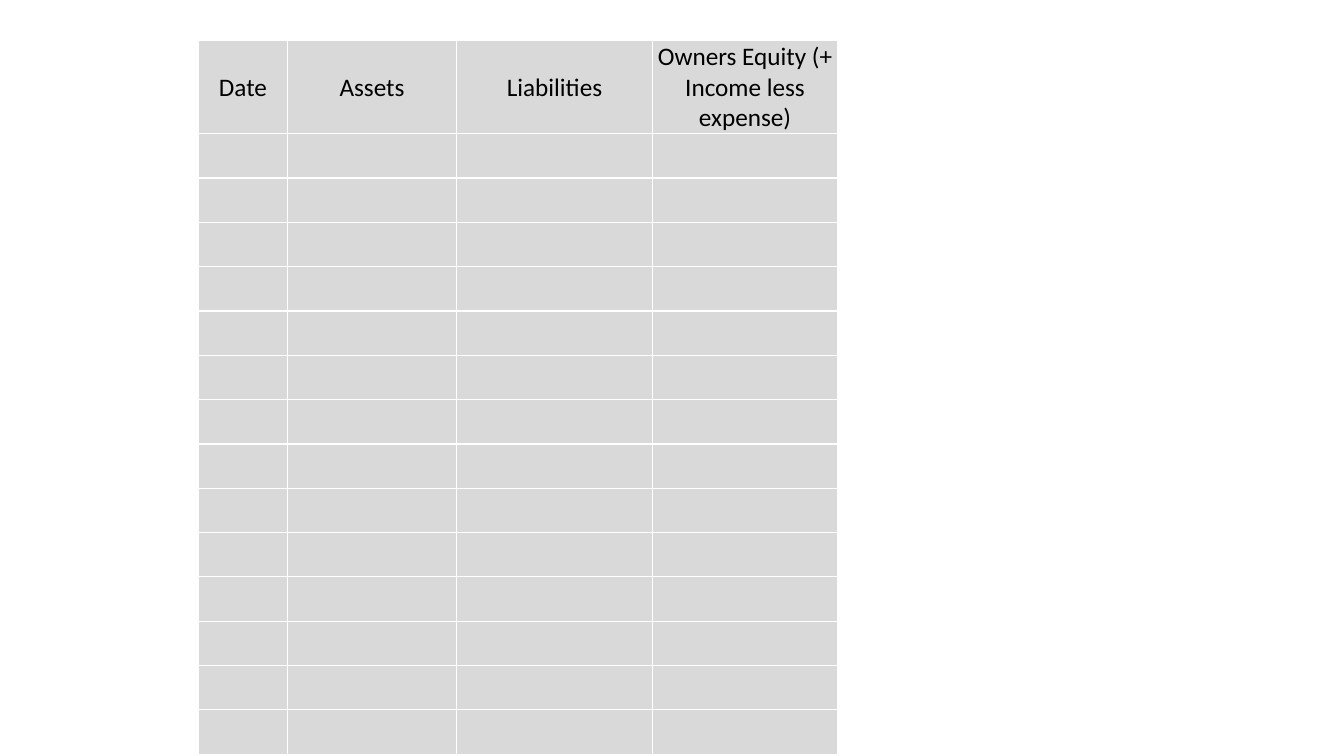
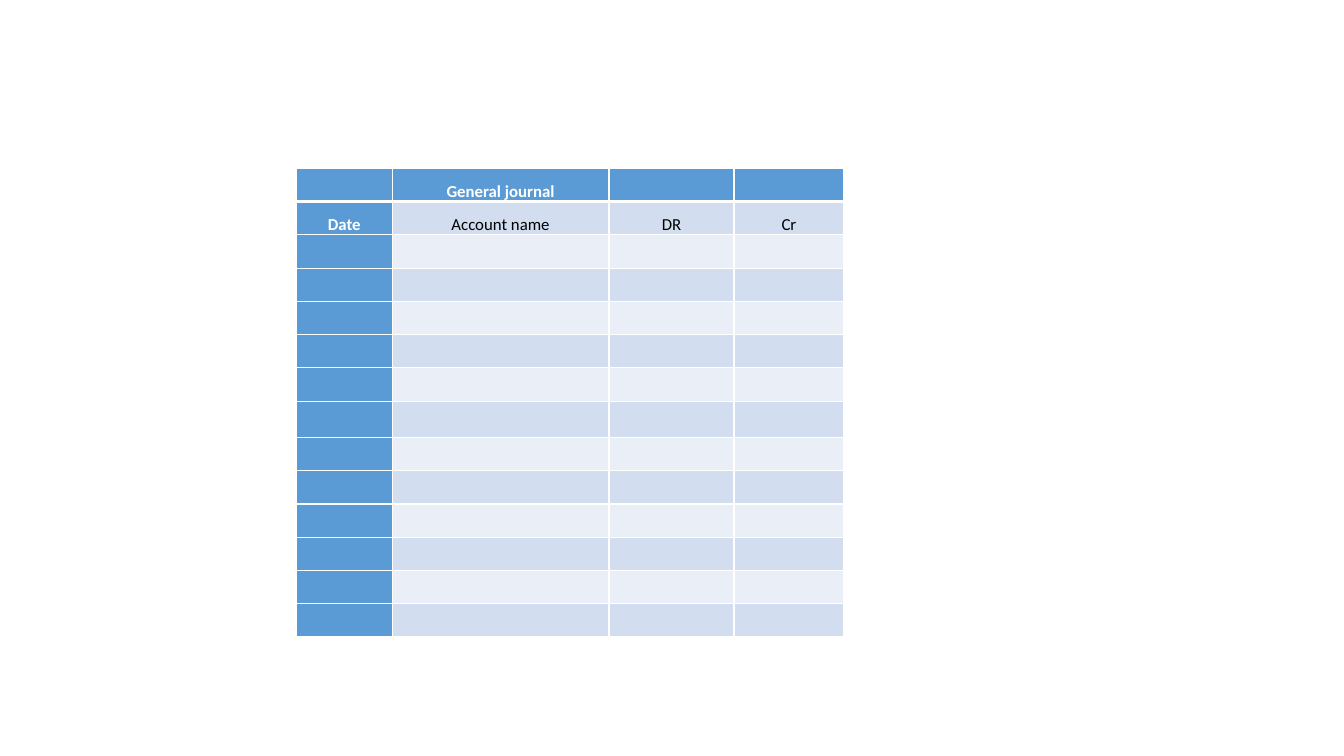
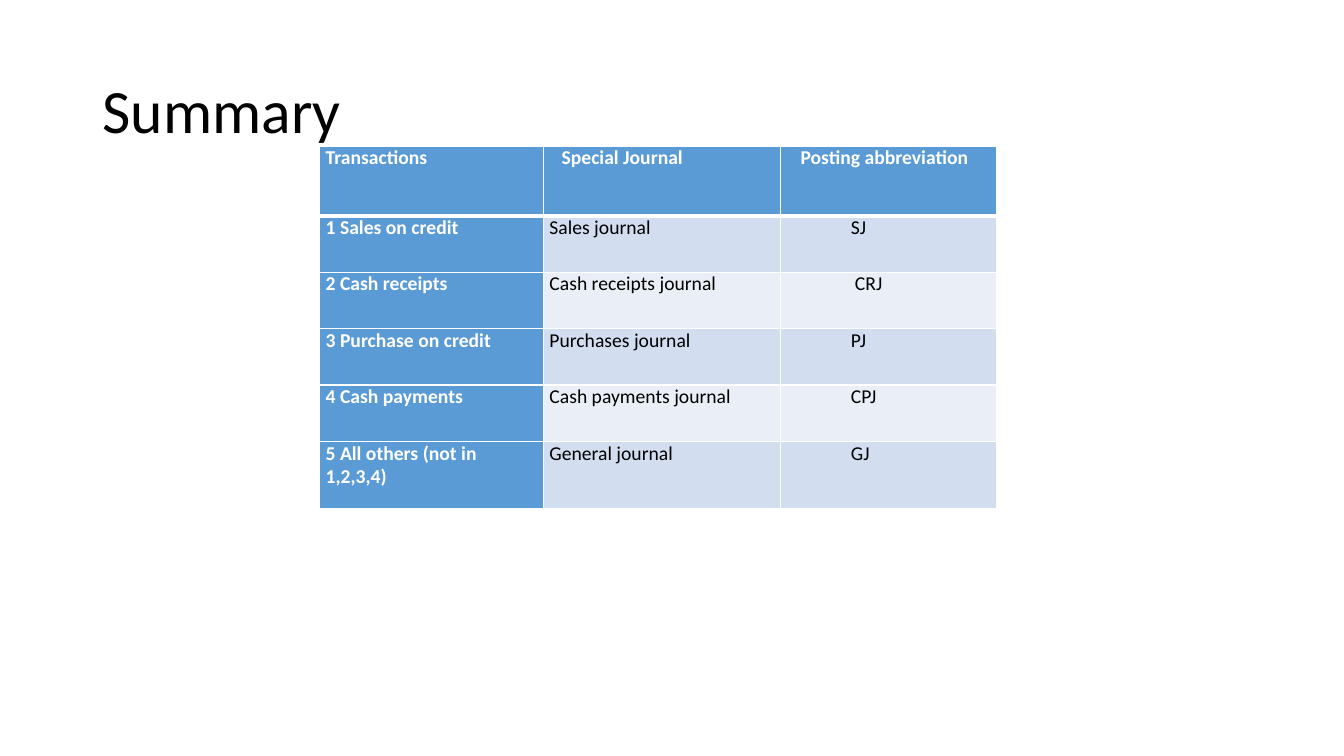
import lxml.etree
import pptx
import pptx.dml.color
import pptx.enum.text
import pptx.oxml.ns
import pptx.util

Inches = pptx.util.Inches
Pt = pptx.util.Pt
RGBColor = pptx.dml.color.RGBColor
ALIGN = pptx.enum.text.PP_ALIGN
ANCHOR = pptx.enum.text.MSO_ANCHOR
qn = pptx.oxml.ns.qn

BLACK = RGBColor(0x00, 0x00, 0x00)
WHITE = RGBColor(0xFF, 0xFF, 0xFF)
GREY = RGBColor(0xD9, 0xD9, 0xD9)
BLUE = RGBColor(0x5B, 0x9B, 0xD5)
BAND_DARK = RGBColor(0xD2, 0xDE, 0xEF)
BAND_LIGHT = RGBColor(0xEA, 0xEF, 0xF7)


def set_all(target, values):
    for name, value in values.items():
        setattr(target, name, value)


def plain_look(row, col):
    return GREY, BLACK, False


def journal_look(row, col):
    if row == 0 or col == 0:
        return BLUE, WHITE, True
    return (BAND_DARK if row % 2 else BAND_LIGHT), BLACK, False


class Deck:
    font = "Calibri"

    def __init__(self):
        self.prs = pptx.Presentation()
        set_all(self.prs, {"slide_width": Inches(13.33), "slide_height": Inches(7.5)})
        self.s = None

    def slide(self):
        self.s = self.prs.slides.add_slide(self.prs.slide_layouts[6])

    def add_text(self, p, text, size, color, bold=False):
        if not text:
            lxml.etree.SubElement(p._p, qn("a:endParaRPr"), sz=str(size * 100))
            return
        r = p.add_run()
        r.text = text
        set_all(r.font, {"name": self.font, "size": Pt(size), "bold": bold})
        r.font.color.rgb = color

    def title(self, text):
        sp = self.s.shapes.add_textbox(Inches(0.92), Inches(0.4), Inches(11.5), Inches(1.45))
        tf = sp.text_frame
        set_all(tf, {"word_wrap": True, "vertical_anchor": ANCHOR.MIDDLE})
        p = tf.paragraphs[0]
        p.line_spacing = 0.9
        self.add_text(p, text, 44, BLACK)

    def borders(self, cell, top, bottom):
        tcPr = cell._tc.get_or_add_tcPr()
        for side, width in {"L": 1, "R": 1, "T": top, "B": bottom}.items():
            ln = lxml.etree.SubElement(tcPr, qn("a:ln" + side), w=str(Pt(width)))
            fill = lxml.etree.SubElement(ln, qn("a:solidFill"))
            lxml.etree.SubElement(fill, qn("a:srgbClr"), val=str(WHITE))

    def table(self, left, top, cols, rows, texts, look, size, cell_format,
              align=ALIGN.LEFT, header_rule=1, space_after=0, indents=None):
        frame = self.s.shapes.add_table(len(rows), len(cols), Inches(left), Inches(top),
                                        Inches(sum(cols)), Inches(sum(rows)))
        table = frame.table
        set_all(table, {"first_row": False, "horz_banding": False})
        for column, width in zip(table.columns, cols):
            column.width = Inches(width)
        for row, height in zip(table.rows, rows):
            row.height = Inches(height)
        for i in range(len(rows)):
            for j in range(len(cols)):
                cell = table.cell(i, j)
                set_all(cell, cell_format)
                self.borders(cell, header_rule if i == 1 else 1, header_rule if i == 0 else 1)
                fill, color, bold = look(i, j)
                cell.fill.solid()
                cell.fill.fore_color.rgb = fill
                p = cell.text_frame.paragraphs[0]
                p.alignment = align
                if i and space_after:
                    p.space_after = Pt(space_after)
                indent = (indents or {}).get((i, j))
                if indent:
                    p._p.get_or_add_pPr().set("marL", str(Inches(indent)))
                text = texts[i][j] if i < len(texts) else ""
                self.add_text(p, text, size, color, bold)


def margins(side, top, anchor):
    return {"margin_left": Inches(side), "margin_right": Inches(side),
            "margin_top": Inches(top), "margin_bottom": 0, "vertical_anchor": anchor}


def main():
    deck = Deck()

    deck.slide()
    deck.table(1.97, 0.4, [0.88, 1.68, 1.94, 1.84], [0.6] + [0.44] * 14,
               [["Date", "Assets", "Liabilities", "Owners Equity (+ Income less expense)"]],
               plain_look, 18, margins(0.01, 0.01, ANCHOR.MIDDLE), ALIGN.CENTER)

    deck.slide()
    deck.table(2.94, 1.67, [0.95, 2.15, 1.24, 1.09], [0.33] * 7 + [0.36] + [0.33] * 6,
               [["", "General journal", "", ""], ["Date", "Account name", "DR", "Cr"]],
               journal_look, 12, margins(0.07, 0, ANCHOR.BOTTOM), ALIGN.CENTER, header_rule=3)

    deck.slide()
    deck.title("Summary")
    summary = [
        ["Transactions", "Special Journal", "Posting abbreviation"],
        ["1 Sales on credit", "Sales journal", "SJ"],
        ["2 Cash receipts", "Cash receipts journal", "CRJ"],
        ["3 Purchase on credit", "Purchases journal", "PJ"],
        ["4 Cash payments", "Cash payments journal", "CPJ"],
        ["5 All others (not in 1,2,3,4)", "General journal", "GJ"],
    ]
    indents = {(i, 2): 0.64 for i in range(1, len(summary))}
    indents.update({(0, 1): 0.12, (0, 2): 0.14, (2, 2): 0.68})
    deck.table(3.17, 1.45, [2.22, 2.35, 2.14], [0.69] + [0.56] * 4 + [0.67], summary,
               journal_look, 14, margins(0.06, 0, ANCHOR.TOP), header_rule=3,
               space_after=6.6, indents=indents)

    deck.prs.save("out.pptx")


if __name__ == "__main__":
    main()
